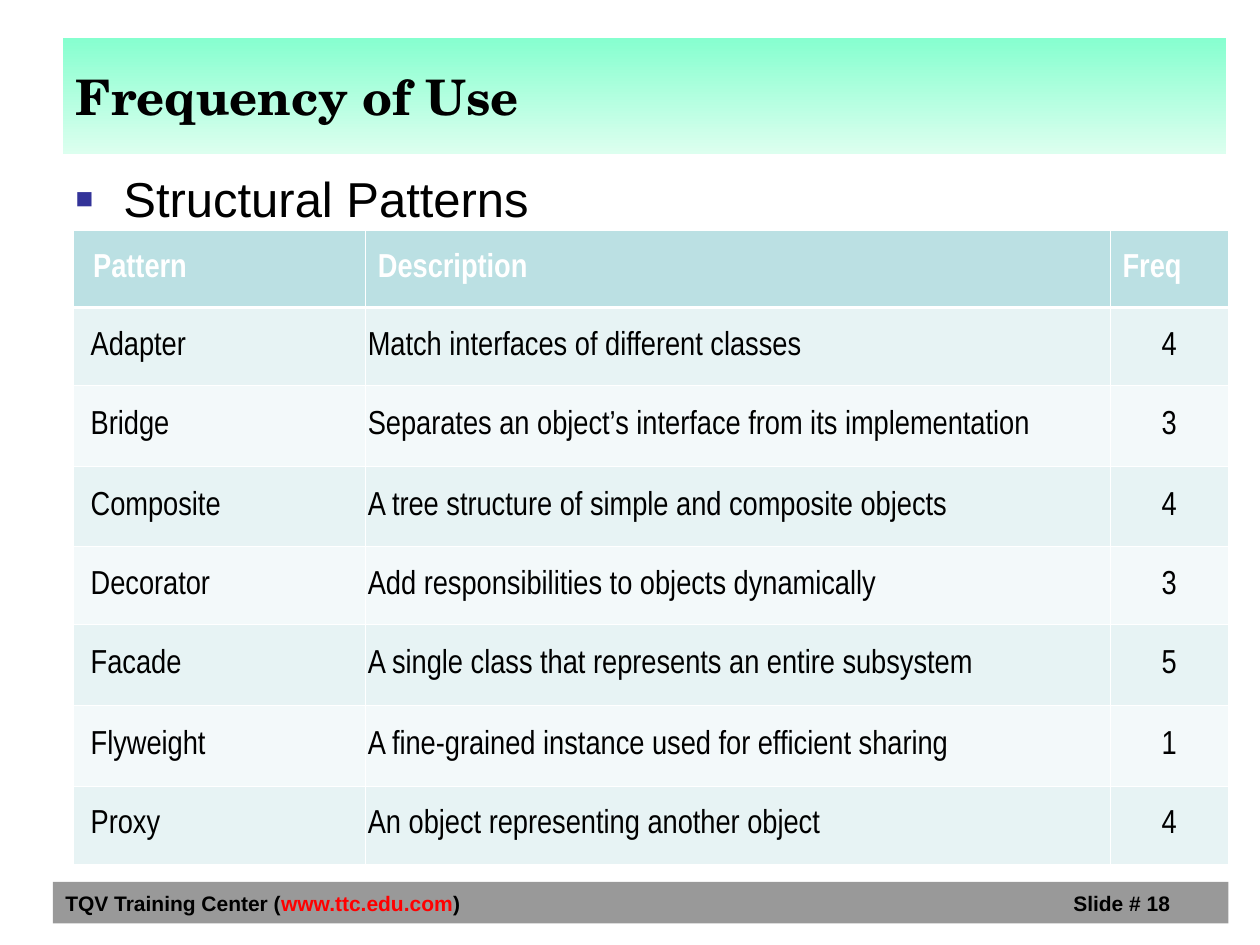
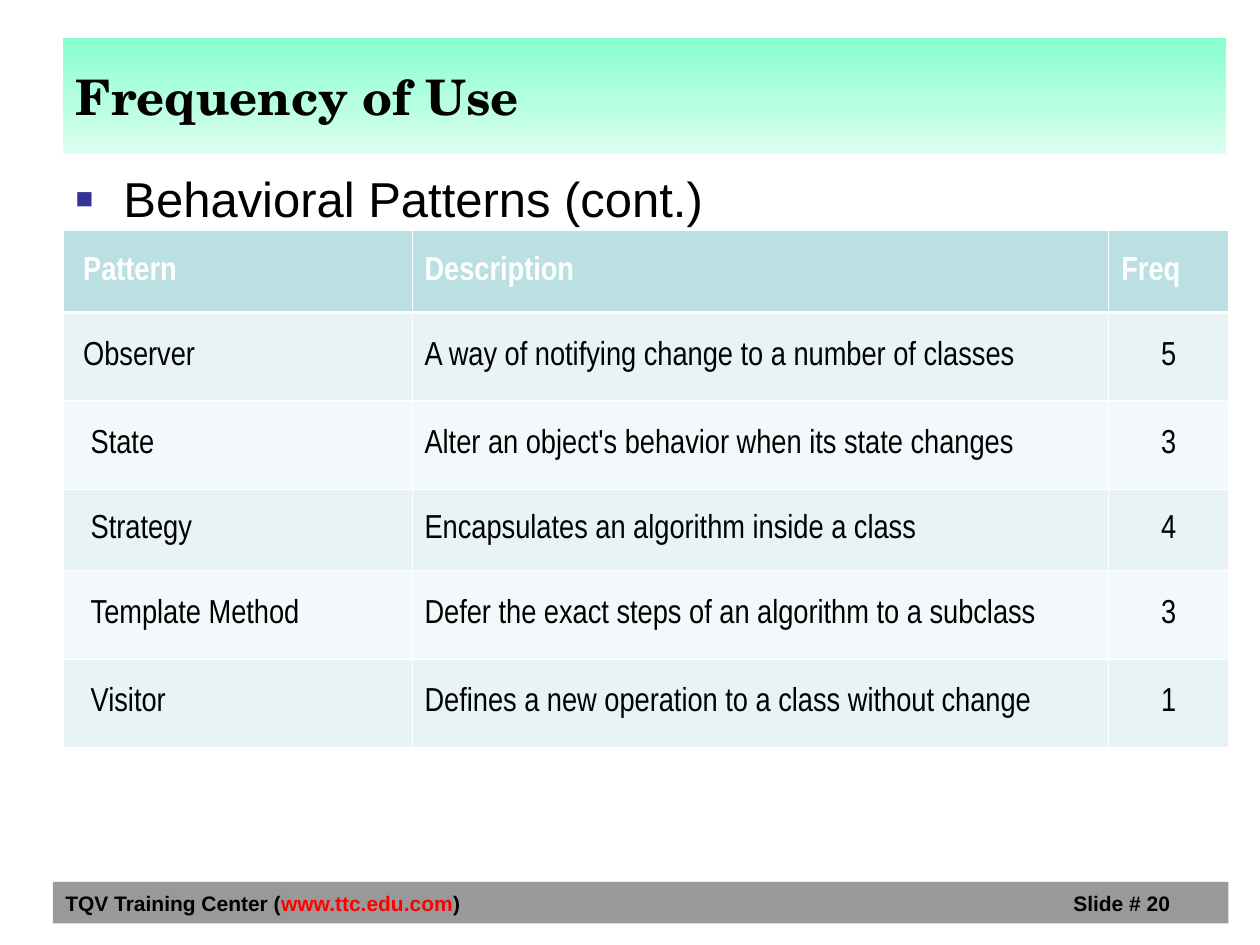
from lxml.etree import SubElement
from pptx import Presentation
from pptx.dml.color import RGBColor
from pptx.enum.shapes import MSO_SHAPE as Shape
from pptx.enum.text import MSO_ANCHOR as Anchor, MSO_AUTO_SIZE as AutoSize, PP_ALIGN as Align
from pptx.oxml import parse_xml
from pptx.oxml.ns import nsdecls, qn
from pptx.util import Inches, Pt

BLACK, WHITE, RED, GRAY, NAVY = "000000", "FFFFFF", "FF0000", "999999", "333399"
BAND = ("86FFCF", "DCFFEF")
HEADER, ROWS = "BBE0E3", ("E7F3F4", "F3F9FA")
TITLE_FONT, BODY_FONT, TABLE_FONT = "TeX Gyre Schola", "Arial", "Arial Narrow"
HEADINGS = ("Pattern", "Description", "Freq")
STRUCTURAL = [
    ("Adapter", "Match interfaces of different classes", "4"),
    ("Bridge", "Separates an object’s interface from its implementation", "3"),
    ("Composite", "A tree structure of simple and composite objects", "4"),
    ("Decorator", "Add responsibilities to objects dynamically", "3"),
    ("Facade", "A single class that represents an entire subsystem", "5"),
    ("Flyweight", "A fine-grained instance used for efficient sharing", "1"),
    ("Proxy", "An object representing another object", "4"),
]
BEHAVIORAL = [
    ("Observer", "A way of notifying change to a number of classes", "5"),
    ("State", "Alter an object's behavior when its state changes", "3"),
    ("Strategy", "Encapsulates an algorithm inside a class", "4"),
    ("Template Method", "Defer the exact steps of an algorithm to a subclass", "3"),
    ("Visitor", "Defines a new operation to a class without change", "1"),
]


def color(value):
    return RGBColor.from_string(value)


def write(para, text, size=12, font=BODY_FONT, ink=BLACK, bold=False, align=Align.LEFT):
    para.alignment = align
    span = para.add_run()
    span.text = text
    span.font.size, span.font.name, span.font.bold = Pt(size), font, bold
    span.font.color.rgb = color(ink)


def place(shape, left, top, width, height):
    shape.left, shape.top = Inches(left), Inches(top)
    shape.width, shape.height = Inches(width), Inches(height)


class PatternDeck:
    """Holds the deck style and the slide being filled."""

    def __init__(self):
        self.deck = Presentation()
        self.deck.slide_width, self.deck.slide_height = Inches(10), Inches(7.5)

    def page(self, number):
        self.slide = self.deck.slides.add_slide(self.deck.slide_layouts[1])
        self.footer(number)

    def footer(self, number):
        bar = self.slide.shapes.add_shape(
            Shape.RECTANGLE, Inches(0.42), Inches(7), Inches(9.33), Inches(0.33))
        bar.shadow.inherit = False
        bar.fill.solid()
        bar.fill.fore_color.rgb = color(GRAY)
        bar.line.fill.background()
        frame = bar.text_frame
        frame.word_wrap, frame.vertical_anchor = True, Anchor.MIDDLE
        para = frame.paragraphs[0]
        tabs = SubElement(para._p.get_or_add_pPr(), qn("a:tabLst"))
        SubElement(tabs, qn("a:tab"), pos=str(Inches(8)), algn="l")
        write(para, "TQV Training Center (", bold=True)
        write(para, "www.ttc.edu.com", ink=RED, bold=True)
        write(para, f")\tSlide # {number}", bold=True)

    def title(self, text):
        band = self.slide.shapes.title
        place(band, 0.5, 0.3, 9.23, 0.92)
        band.fill.gradient()
        band.fill.gradient_angle = 270
        for stop, shade in zip(band.fill.gradient_stops, BAND):
            stop.color.rgb = color(shade)
        frame = band.text_frame
        frame.auto_size, frame.vertical_anchor = AutoSize.NONE, Anchor.MIDDLE
        write(frame.paragraphs[0], text, size=28, font=TITLE_FONT, bold=True)

    def bullet(self, text):
        box = self.slide.placeholders[1]
        place(box, 0.5, 1.25, 9.08, 0.75)
        frame = box.text_frame
        frame.auto_size, frame.margin_top = AutoSize.NONE, Inches(0.09)
        para = frame.paragraphs[0]
        props = para._p.get_or_add_pPr()
        props.set("marL", str(Inches(0.38)))
        props.set("indent", str(-Inches(0.38)))
        mark = SubElement(props, qn("a:buClr"))
        SubElement(mark, qn("a:srgbClr"), val=NAVY)
        SubElement(props, qn("a:buSzPct"), val="60000")
        SubElement(props, qn("a:buFont"), typeface=BODY_FONT)
        SubElement(props, qn("a:buChar"), char="■")
        para.space_before = Pt(0)
        write(para, text, size=28)

    def borders(self, cell, top, bottom):
        props = cell._tc.get_or_add_tcPr()
        widths = {"lnL": 0.45, "lnR": 0.45, "lnT": top, "lnB": bottom}
        for index, (side, width) in enumerate(widths.items()):
            props.insert(index, parse_xml(
                f'<a:{side} {nsdecls("a")} w="{Pt(width)}"><a:solidFill>'
                f'<a:srgbClr val="{WHITE}"/></a:solidFill></a:{side}>'))

    def cell(self, cell, text, row, column, margin, indent):
        header = row == 0
        cell.fill.solid()
        cell.fill.fore_color.rgb = color(HEADER if header else ROWS[(row + 1) % 2])
        self.borders(cell, 1.47 if row == 1 else 0.45, 1.47 if header else 0.45)
        cell.vertical_anchor = Anchor.MIDDLE
        cell.margin_left = Inches(margin + (indent if column == 0 else 0))
        cell.margin_right = Inches(margin)
        write(cell.text_frame.paragraphs[0], text, size=19, font=TABLE_FONT,
              ink=WHITE if header else BLACK, bold=header,
              align=Align.CENTER if column == 2 and not header else Align.LEFT)

    def table(self, patterns, left, widths, heights, margin, narrow_rows):
        rows = [HEADINGS, *patterns]
        grid = self.slide.shapes.add_table(
            len(rows), len(widths), Inches(left), Inches(1.83),
            Inches(sum(widths)), Inches(sum(heights))).table
        for column, width in zip(grid.columns, widths):
            column.width = Inches(width)
        for index, (texts, height) in enumerate(zip(rows, heights)):
            grid.rows[index].height = Inches(height)
            for column, text in enumerate(texts):
                self.cell(grid.cell(index, column), text, index, column,
                          margin if index else 0.1,
                          0.06 if index < narrow_rows else 0.12)


def main():
    show = PatternDeck()
    show.page(18)
    show.title("Frequency of Use")
    show.bullet("Structural Patterns")
    show.table(STRUCTURAL, 0.58, (2.32, 5.91, 0.94),
               (0.61, 0.62, 0.64, 0.64, 0.62, 0.64, 0.64, 0.62), 0.02, 1)

    show.page(20)
    show.title("Frequency of Use")
    show.bullet("Behavioral Patterns (cont.)")
    show.table(BEHAVIORAL, 0.5, (2.77, 5.53, 0.95),
               (0.65, 0.7, 0.7, 0.65, 0.7, 0.7), 0.1, 2)
    show.deck.save("out.pptx")


if __name__ == "__main__":
    main()
